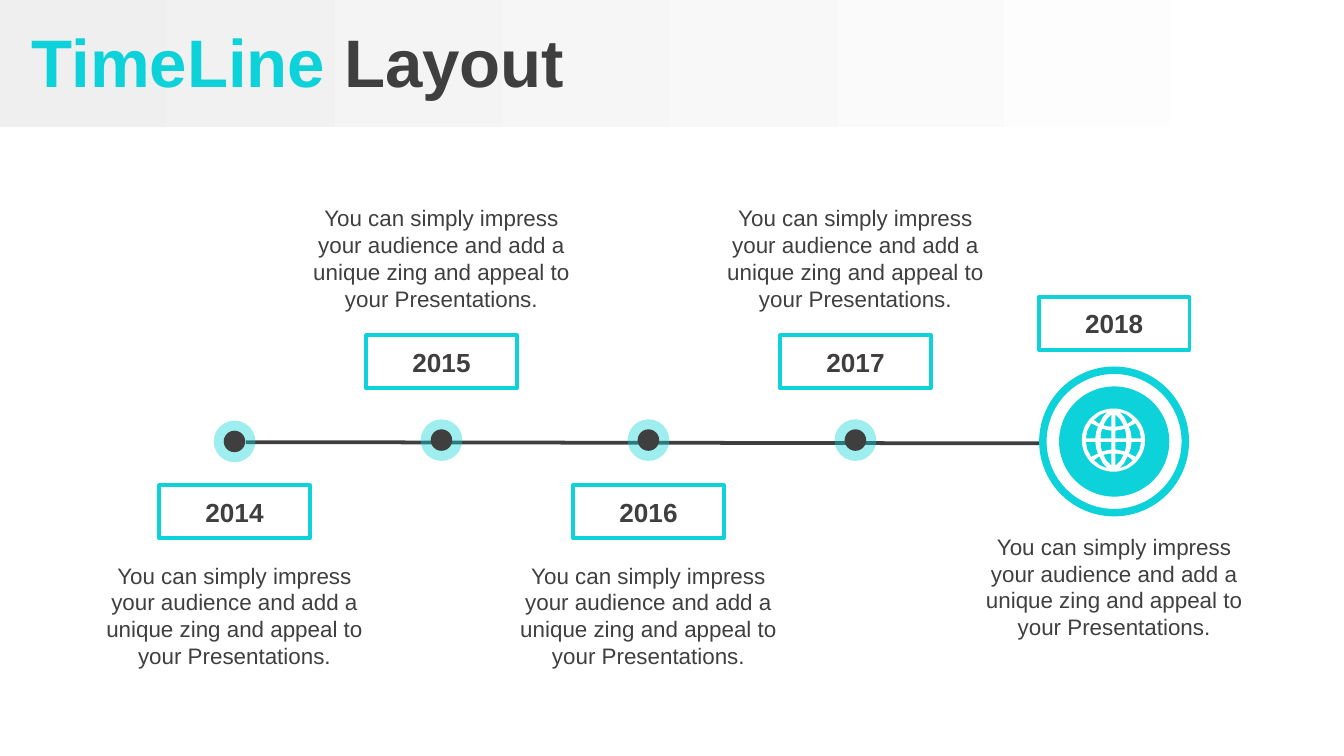
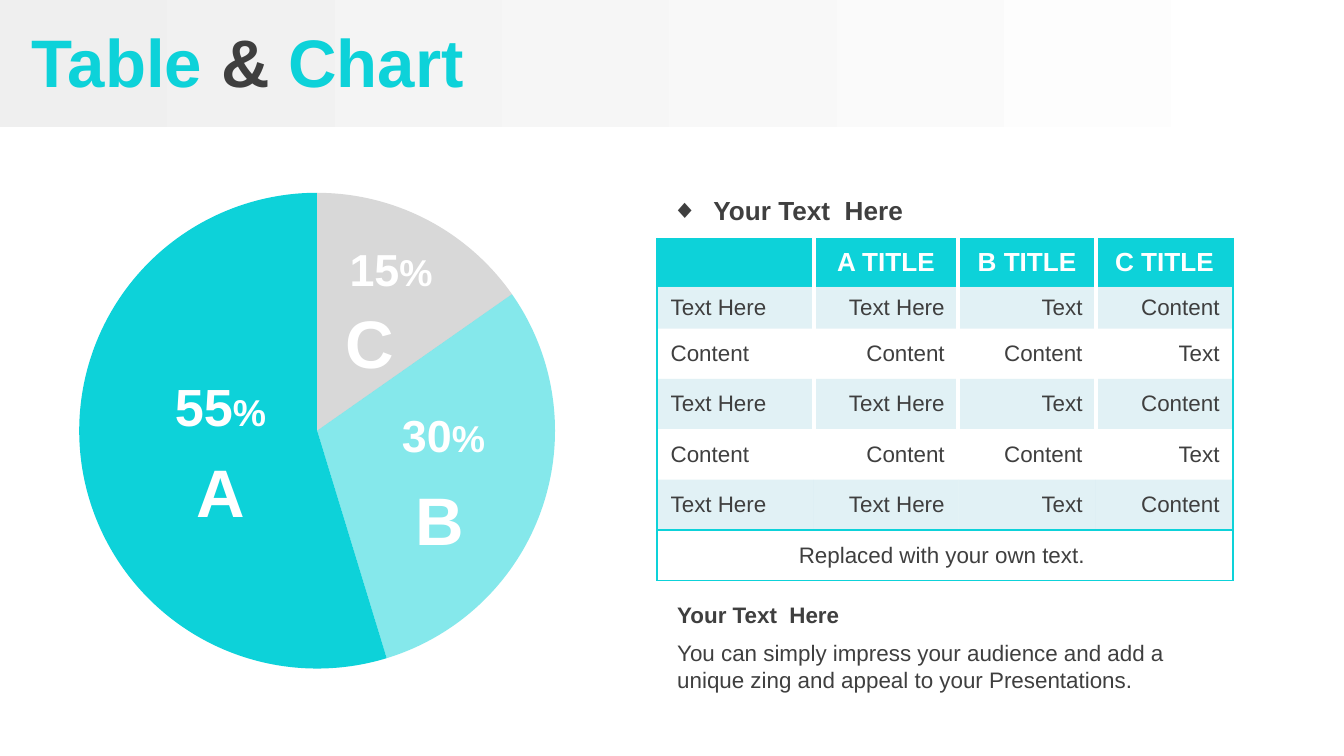
from dataclasses import dataclass
from math import cos, radians, sin

from lxml.etree import SubElement
from pptx import Presentation
from pptx.dml.color import RGBColor
from pptx.enum.shapes import MSO_CONNECTOR as Connector, MSO_SHAPE as Preset
from pptx.enum.text import MSO_ANCHOR as Anchor, PP_ALIGN as Align
from pptx.oxml.ns import qn
from pptx.util import Pt

PX = 4572


@dataclass(frozen=True)
class Theme:
    font: str = "Arial"
    accent: str = "0DD2D9"
    ink: str = "3F3F3F"
    white: str = "FFFFFF"
    silver: str = "D8D8D8"
    stripe: str = "B6DDE7"
    band: str = "EFEFEF"
    title: int = 36
    share: int = 28
    small_share: int = 24
    percent: int = 20
    heading: int = 14
    body: int = 12


THEME = Theme()
PITCH = ("You can simply impress your audience and add a unique zing "
         "and appeal to your Presentations.")
PLAIN_TABLE = "{2D5ABB26-0587-4C30-8999-92F81FD0307C}"
GLOBE_RADIUS = 235
GLOBE_CELLS = [
    [(15, 13), (95, 13), (93, 50), (85, 85), (50, 76), (15, 70)],
    [(135, 13), (205, 13), (195, 70), (165, 125), (140, 112), (115, 100), (129, 60)],
    [(15, 100), (45, 102), (75, 110), (50, 155), (15, 190)],
    [(105, 120), (145, 150), (100, 188), (45, 210), (80, 170)],
]


def px(*lengths):
    return [length * PX for length in lengths]


def rgb(color):
    return RGBColor.from_string(color)


def paint(fill, properties, color, opacity=100):
    fill.solid()
    fill.fore_color.rgb = rgb(color)
    if opacity < 100:
        tone = properties.find(f"{qn('a:solidFill')}/{qn('a:srgbClr')}")
        SubElement(tone, qn("a:alpha"), val=str(opacity * 1000))


def write(paragraph, runs, align=Align.LEFT):
    paragraph.alignment = align
    for text, size, color, bold in runs:
        run = paragraph.add_run()
        run.text = text
        run.font.name = THEME.font
        run.font.size = Pt(size)
        run.font.bold = bold
        run.font.color.rgb = rgb(color)


def add_text(slide, box, runs, align=Align.LEFT):
    frame = slide.shapes.add_textbox(*px(*box)).text_frame
    frame.word_wrap = True
    write(frame.paragraphs[0], runs, align)
    return frame


def add_figure(slide, preset, box, color=None, opacity=100, outline=None, weight=0):
    figure = slide.shapes.add_shape(preset, *px(*box))
    figure.shadow.inherit = False
    if color:
        paint(figure.fill, figure._element.spPr, color, opacity)
    else:
        figure.fill.background()
    if outline:
        figure.line.color.rgb = rgb(outline)
        figure.line.width = Pt(weight)
    else:
        figure.line.fill.background()
    return figure


def add_disc(slide, center, diameter, color, **style):
    x, y = center
    corner = (x - diameter // 2, y - diameter // 2)
    add_figure(slide, Preset.OVAL, (*corner, diameter, diameter), color, **style)


def add_header(slide, words):
    band = add_figure(slide, Preset.RECTANGLE, (0, 0, 1992, 189), THEME.band)
    band.fill.gradient()
    band.fill.gradient_angle = 0
    for stop, color in zip(band.fill.gradient_stops, (THEME.band, THEME.white)):
        stop.color.rgb = rgb(color)
    title = add_text(slide, (0, 5, 2000, 170),
                     [(word, THEME.title, color, True)
                      for word, color in [(" ", THEME.ink), *words]])
    title.vertical_anchor = Anchor.MIDDLE


def add_axis(slide, start, end):
    axis = slide.shapes.add_connector(Connector.STRAIGHT, *px(*start, *end))
    axis.line.color.rgb = rgb(THEME.ink)
    axis.line.width = Pt(2)
    SubElement(axis._element.spPr, qn("a:effectLst"))


def add_year(slide, center, year, label_top, pitch_top):
    label = add_figure(slide, Preset.RECTANGLE, (center - 112, label_top, 224, 79),
                       outline=THEME.accent, weight=2)
    label.text_frame.vertical_anchor = Anchor.MIDDLE
    write(label.text_frame.paragraphs[0],
          [(year, THEME.heading, THEME.ink, True)], Align.CENTER)
    add_text(slide, (center - 225, pitch_top, 450, 182),
             [(PITCH, THEME.body, THEME.ink, False)], Align.CENTER)


def add_globe(slide, center):
    rim = [(GLOBE_RADIUS * cos(radians(angle)), GLOBE_RADIUS * sin(radians(angle)))
           for angle in range(0, 360, 6)]
    builder = slide.shapes.build_freeform(*rim[0], scale=PX / 5)
    builder.add_line_segments(rim[1:], close=True)
    for side in (-1, 1):
        for half in (-1, 1):
            for cell in GLOBE_CELLS:
                first, *rest = [(side * x, half * y) for x, y in cell]
                builder.move_to(*first)
                builder.add_line_segments(rest, close=True)
    globe = builder.convert_to_shape(*px(*center))
    globe.shadow.inherit = False
    paint(globe.fill, globe._element.spPr, THEME.white)
    globe.line.fill.background()


def add_slice(slide, start, end, color, opacity=100):
    piece = add_figure(slide, Preset.PIE, (118, 287, 708, 708), color, opacity)
    piece.adjustments[0] = start * 0.6
    piece.adjustments[1] = end * 0.6


def add_share(slide, share, size, share_box, letter, letter_corner):
    add_text(slide, share_box, [(share, size, THEME.white, True),
                                ("%", THEME.percent, THEME.white, True)], Align.CENTER)
    add_text(slide, (*letter_corner, 118, 142),
             [(letter, THEME.title, THEME.white, True)], Align.CENTER)


def set_borders(cell, edges):
    properties = cell._tc.get_or_add_tcPr()
    for side in "LRTB":
        if side not in edges:
            continue
        color, weight = edges[side]
        border = SubElement(properties, qn(f"a:ln{side}"), w=str(Pt(weight)),
                            cap="flat", cmpd="sng", algn="ctr")
        SubElement(SubElement(border, qn("a:solidFill")), qn("a:srgbClr"), val=color)
        SubElement(border, qn("a:prstDash"), val="solid")


def cell_edges(row, column, last_row, last_column):
    frame, divider = (THEME.accent, 1), (THEME.white, 2.25)
    if row == last_row:
        return dict.fromkeys("LRTB", frame)
    edges = {"L": divider, "R": divider} if row < 4 else {}
    if column == 0:
        edges["L"] = frame
    if column == last_column:
        edges["R"] = frame
    if row == 0:
        edges["T"] = frame
    if row == last_row - 1:
        edges["B"] = frame
    return edges


def add_grid(slide, corner, widths, heights, rows):
    last_row, last_column = len(heights) - 1, len(widths) - 1
    holder = slide.shapes.add_table(len(heights), len(widths),
                                    *px(*corner, sum(widths), sum(heights)))
    grid = holder.table
    grid.first_row = grid.horz_banding = False
    holder._element.find(f".//{qn('a:tableStyleId')}").text = PLAIN_TABLE
    for column, width in zip(grid.columns, widths):
        column.width = width * PX
    for row, height in zip(grid.rows, heights):
        row.height = height * PX
    grid.cell(last_row, 0).merge(grid.cell(last_row, last_column))
    for r, texts in enumerate(rows):
        for c, text in enumerate(texts):
            cell = grid.cell(r, c)
            header, striped = r == 0, r % 2 == 1
            set_borders(cell, cell_edges(r, c, last_row, last_column))
            cell.vertical_anchor = Anchor.MIDDLE
            color = THEME.accent if header else THEME.stripe if striped else THEME.white
            paint(cell.fill, cell._tc.get_or_add_tcPr(), color, 40 if striped else 100)
            size = THEME.heading if header else THEME.body
            paragraph = cell.text_frame.paragraphs[0]
            if text:
                centered = header or r == last_row
                align = Align.CENTER if centered else Align.RIGHT if c else Align.LEFT
                ink = THEME.white if header else THEME.ink
                write(paragraph, [(text, size, ink, header)], align)
            else:
                SubElement(paragraph._p, qn("a:endParaRPr"), sz=str(size * 100))


def add_bullet(paragraph, mark, indent):
    properties = paragraph._p.get_or_add_pPr()
    properties.set("marL", str(indent * PX))
    properties.set("indent", str(-indent * PX))
    SubElement(SubElement(properties, qn("a:buClr")), qn("a:srgbClr"), val=THEME.ink)
    SubElement(properties, qn("a:buFont"), typeface=THEME.font)
    SubElement(properties, qn("a:buChar"), char=mark)


def build_timeline(slide):
    add_header(slide, [("TimeLine", THEME.accent), (" Layout", THEME.ink)])
    goal = (1658, 657)
    add_axis(slide, (366, 658), (1674, 660))
    add_disc(slide, goal, 212, THEME.white, outline=THEME.accent, weight=4)
    add_disc(slide, goal, 164, THEME.accent)
    for index in range(4):
        center = 349 + 308 * index
        node = (center, 655 if index else 657)
        add_disc(slide, node, 62, THEME.accent, opacity=40)
        add_disc(slide, node, 32, THEME.ink)
        label_top, pitch_top = (499, 294) if index % 2 else (722, 826)
        add_year(slide, center, str(2014 + index), label_top, pitch_top)
    add_year(slide, goal[0], "2018", 442, 783)
    add_globe(slide, (1657, 655))


def build_table_and_chart(slide):
    add_header(slide, [("Table", THEME.accent), (" & ", THEME.ink),
                       ("Chart", THEME.accent)])
    add_slice(slide, 73, 270, THEME.accent)
    add_slice(slide, 270, 325, THEME.silver)
    add_slice(slide, 325, 73, THEME.accent, 50)
    first = ["Text Here", "Text Here", "Text", "Content"]
    second = ["Content", "Content", "Content", "Text"]
    add_grid(slide, (978, 355), [233, 215, 205, 204], [72, 62] + [75] * 5,
             [["", "A TITLE", "B TITLE", "C TITLE"],
              first, second, first, second, first,
              ["Replaced with your own text. ", "", "", ""]])
    heading = add_text(slide, (980, 280, 472, 68),
                       [("Your Text  Here", THEME.heading, THEME.ink, True)])
    add_bullet(heading.paragraphs[0], "◆", 62)
    add_text(slide, (988, 942, 838, 100), [(PITCH, THEME.body, THEME.ink, False)])
    add_text(slide, (988, 885, 838, 60),
             [("Your Text  Here", THEME.body, THEME.ink, True)])
    add_share(slide, "55", THEME.share, (226, 547, 204, 114), "A", (270, 660))
    add_share(slide, "30", THEME.small_share, (558, 597, 204, 100), "B", (596, 702))
    add_share(slide, "15", THEME.small_share, (480, 350, 204, 100), "C", (492, 438))


def main():
    deck = Presentation()
    deck.slide_width, deck.slide_height = px(2000, 1125)
    blank = deck.slide_layouts[6]
    for build in (build_timeline, build_table_and_chart):
        build(deck.slides.add_slide(blank))
    deck.save("out.pptx")


if __name__ == "__main__":
    main()
